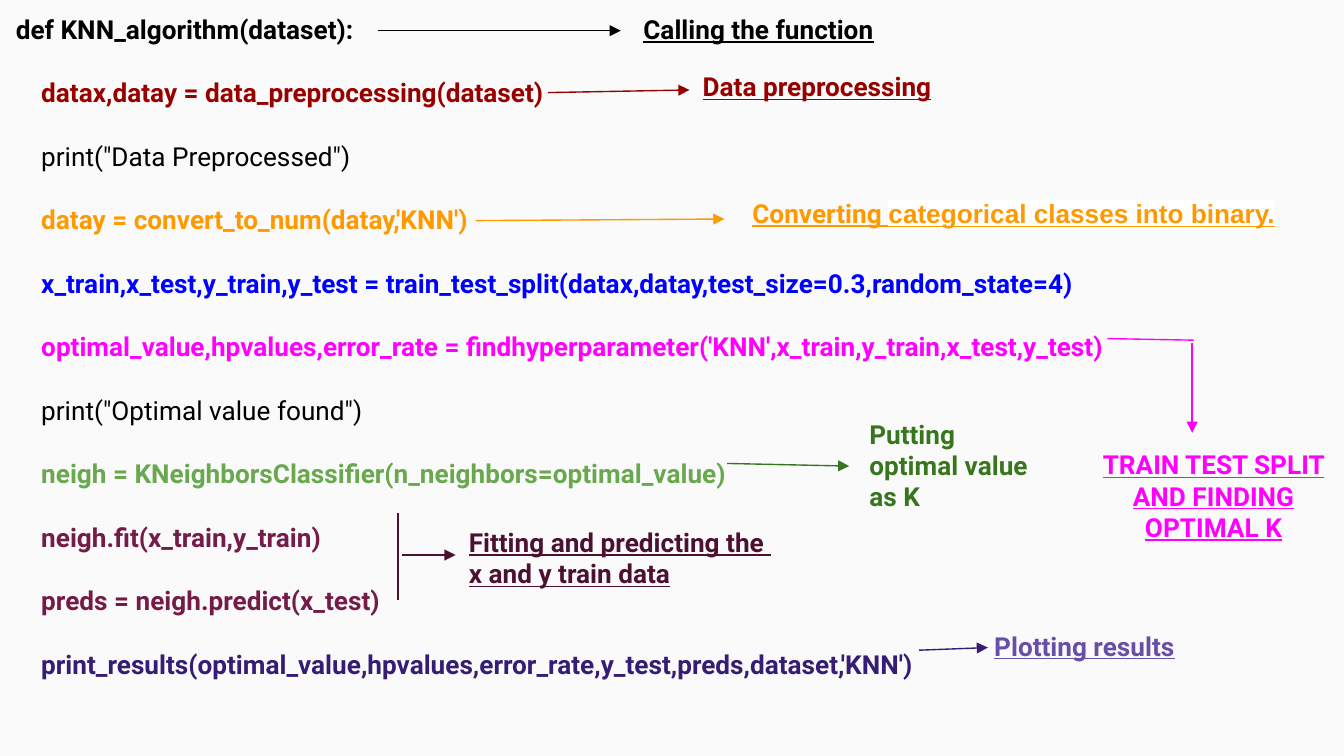
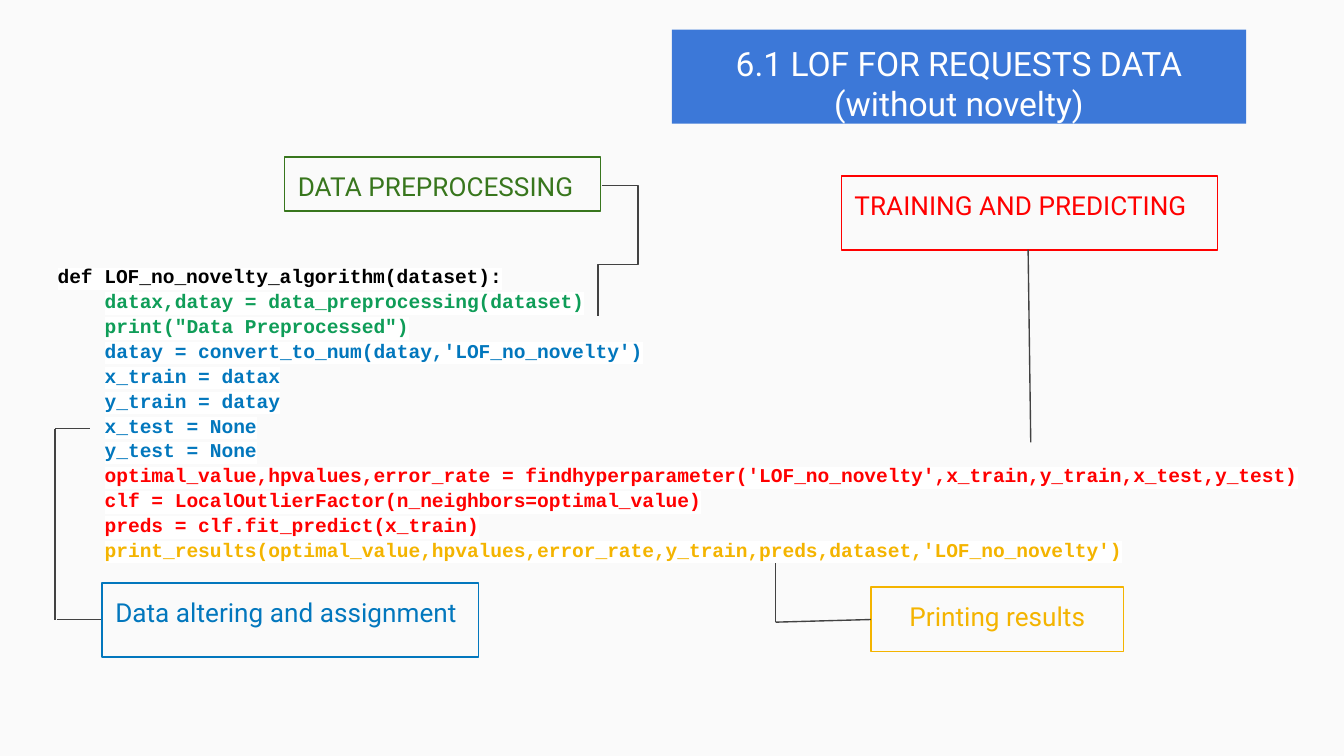
from lxml.etree import SubElement
from pptx import Presentation
from pptx.dml.color import RGBColor
from pptx.enum.shapes import MSO_CONNECTOR, MSO_SHAPE
from pptx.enum.text import MSO_ANCHOR, PP_ALIGN
from pptx.oxml import parse_xml
from pptx.oxml.ns import nsdecls, qn
from pptx.util import Cm, Pt

BACKDROP = RGBColor(0xFA, 0xFA, 0xFA)
WHITE = RGBColor(0xFF, 0xFF, 0xFF)
BLACK = RGBColor(0x00, 0x00, 0x00)
GRAY = RGBColor(0x42, 0x42, 0x42)
DARK_RED = RGBColor(0x98, 0x00, 0x00)
RED = RGBColor(0xFF, 0x00, 0x00)
ORANGE = RGBColor(0xFF, 0x99, 0x00)
AMBER = RGBColor(0xF4, 0xB4, 0x00)
BLUE = RGBColor(0x00, 0x00, 0xFF)
SKY = RGBColor(0x02, 0x77, 0xBD)
BANNER_BLUE = RGBColor(0x3C, 0x78, 0xD8)
MAGENTA = RGBColor(0xFF, 0x00, 0xFF)
GREEN = RGBColor(0x6A, 0xA8, 0x4F)
DARK_GREEN = RGBColor(0x38, 0x76, 0x1D)
CODE_GREEN = RGBColor(0x0F, 0x9D, 0x58)
PLUM = RGBColor(0x74, 0x1B, 0x47)
DARK_PLUM = RGBColor(0x4C, 0x11, 0x30)
INDIGO = RGBColor(0x35, 0x1C, 0x75)
VIOLET = RGBColor(0x67, 0x4E, 0xA7)

SANS, MONO = "Roboto", "Courier New"
WIDTH, HEIGHT = 25.4, 14.29
INSET = Cm(0.25)
LINE_WIDTH = Pt(0.75)

KNN_CODE = [
    ("def KNN_algorithm(dataset):", BLACK, True),
    ("datax,datay = data_preprocessing(dataset)", DARK_RED, True),
    ('print("Data Preprocessed")', BLACK, False),
    ("datay = convert_to_num(datay,'KNN')", ORANGE, True),
    ("x_train,x_test,y_train,y_test = train_test_split(datax,datay,test_size=0.3,random_state=4)", BLUE, True),
    ("optimal_value,hpvalues,error_rate = findhyperparameter('KNN',x_train,y_train,x_test,y_test)", MAGENTA, True),
    ('print("Optimal value found")', BLACK, False),
    ("neigh = KNeighborsClassifier(n_neighbors=optimal_value)", GREEN, True),
    ("neigh.fit(x_train,y_train)", PLUM, True),
    ("preds = neigh.predict(x_test)", PLUM, True),
    ("print_results(optimal_value,hpvalues,error_rate,y_test,preds,dataset,'KNN')", INDIGO, True),
]

LOF_CODE = [
    ("def LOF_no_novelty_algorithm(dataset):", BLACK),
    ("datax,datay = data_preprocessing(dataset)", CODE_GREEN),
    ('print("Data Preprocessed")', CODE_GREEN),
    ("datay = convert_to_num(datay,'LOF_no_novelty')", SKY),
    ("x_train = datax", SKY),
    ("y_train = datay", SKY),
    ("x_test = None", SKY),
    ("y_test = None", SKY),
    ("optimal_value,hpvalues,error_rate = findhyperparameter('LOF_no_novelty',x_train,y_train,x_test,y_test)", RED),
    ("clf = LocalOutlierFactor(n_neighbors=optimal_value)", RED),
    ("preds = clf.fit_predict(x_train)", RED),
    ("print_results(optimal_value,hpvalues,error_rate,y_train,preds,dataset,'LOF_no_novelty')", AMBER),
]

# Text, colour, underlined, alignment, (left, top, width, height)
KNN_NOTES = [
    ("Calling the function", BLACK, True, PP_ALIGN.LEFT, (11.91, 0, 10.87, 0.91)),
    ("Data preprocessing", DARK_RED, True, PP_ALIGN.LEFT, (13.03, 1.09, 5.18, 0.91)),
    ("TRAIN TEST SPLIT AND FINDING OPTIMAL K", MAGENTA, True, PP_ALIGN.CENTER, (20.09, 8.23, 5.69, 2.67)),
    ("Putting optimal value as K", DARK_GREEN, False, PP_ALIGN.LEFT, (16.18, 7.65, 3.71, 2.67)),
    ("Fitting and predicting the \nx and y train data", DARK_PLUM, True, PP_ALIGN.LEFT, (8.61, 9.7, 7.44, 1.88)),
    ("Plotting results", VIOLET, True, PP_ALIGN.LEFT, (18.54, 11.66, 4.6, 1.35)),
]

# Start x, start y, end x, end y, colour, arrowhead
KNN_LINES = [
    (7.14, 0.58, 11.73, 0.58, BLACK, True),
    (10.36, 1.75, 13.03, 1.7, DARK_RED, True),
    (8.99, 4.17, 13.69, 4.14, ORANGE, True),
    (20.93, 6.4, 22.56, 6.43, MAGENTA, False),
    (22.53, 6.48, 22.53, 8.18, MAGENTA, True),
    (13.74, 8.76, 16.05, 8.81, DARK_GREEN, True),
    (7.52, 9.7, 7.52, 11.35, DARK_PLUM, False),
    (7.59, 10.49, 8.61, 10.49, DARK_PLUM, True),
    (17.37, 12.29, 18.67, 12.24, INDIGO, True),
]

LOF_STAGES = [
    ("DATA PREPROCESSING", DARK_GREEN, PP_ALIGN.LEFT, (5.38, 2.97, 5.97, 1.02)),
    ("TRAINING AND PREDICTING", RED, PP_ALIGN.LEFT, (15.9, 3.33, 7.11, 1.4)),
    ("Printing results", AMBER, PP_ALIGN.CENTER, (16.46, 11.1, 4.78, 1.22)),
    ("Data altering and assignment", SKY, PP_ALIGN.LEFT, (1.93, 11.02, 7.11, 1.4)),
]

LOF_LINES = [
    (19.43, 4.72, 19.48, 8.36),
    (16.46, 11.71, 14.66, 11.76),
    (14.66, 11.76, 14.66, 10.64),
    (1.91, 11.71, 1.07, 11.71),
    (1.04, 11.71, 1.04, 8.89),
    (1.04, 8.92, 1.04, 8.1),
    (1.04, 8.1, 1.7, 8.1),
]


def add_slide(deck):
    slide = deck.slides.add_slide(deck.slide_layouts[6])
    slide.background.fill.solid()
    slide.background.fill.fore_color.rgb = BACKDROP
    return slide


def prepare_frame(shape):
    frame = shape.text_frame
    frame.word_wrap = True
    frame.vertical_anchor = MSO_ANCHOR.TOP
    frame.margin_left = frame.margin_right = INSET
    frame.margin_top = frame.margin_bottom = INSET
    return frame


def add_text_frame(slide, box):
    return prepare_frame(slide.shapes.add_textbox(*map(Cm, box)))


def next_paragraph(frame, index):
    return frame.paragraphs[0] if index == 0 else frame.add_paragraph()


def style(paragraph, color, size=14, name=SANS, bold=False, underline=False):
    font = paragraph.font
    font.name, font.size = name, Pt(size)
    font.bold, font.underline = bold, underline
    font.color.rgb = color


def indent(paragraph, margin, first_line=0):
    properties = paragraph._p.get_or_add_pPr()
    properties.set("marL", str(Cm(margin)))
    properties.set("indent", str(Cm(first_line)))


def highlight(run):
    run._r.get_or_add_rPr().insert(0, parse_xml(
        f'<a:highlight {nsdecls("a")}><a:srgbClr val="{WHITE}"/></a:highlight>'))


def add_note(slide, text, color, underline, align, box):
    frame = add_text_frame(slide, box)
    for index, line in enumerate(text.split("\n")):
        paragraph = next_paragraph(frame, index)
        paragraph.text = line
        paragraph.alignment = align
        style(paragraph, color, bold=True, underline=underline)


def add_conversion_note(slide):
    paragraph = add_text_frame(slide, (12.7, 3.48, 11.73, 1.35)).paragraphs[0]
    indent(paragraph, 1.27)
    style(paragraph, ORANGE, bold=True, underline=True)
    paragraph.add_run().text = "Converting "
    explanation = paragraph.add_run()
    explanation.text = "categorical classes into binary."
    explanation.font.name = "Arial"
    highlight(explanation)


def add_box(slide, text, size, color, align, box, fill=None):
    """Filled without outline if fill is given, else outlined in the text colour."""
    shape = slide.shapes.add_shape(MSO_SHAPE.RECTANGLE, *map(Cm, box))
    shape.shadow.inherit = False
    if fill is None:
        shape.fill.background()
        shape.line.color.rgb = color
        shape.line.width = LINE_WIDTH
    else:
        shape.fill.solid()
        shape.fill.fore_color.rgb = fill
        shape.line.fill.background()
    paragraph = prepare_frame(shape).paragraphs[0]
    paragraph.text = text
    paragraph.alignment = align
    style(paragraph, color, size)


def add_line(slide, x1, y1, x2, y2, color=GRAY, arrow=False, kind=MSO_CONNECTOR.STRAIGHT):
    line = slide.shapes.add_connector(kind, Cm(x1), Cm(y1), Cm(x2), Cm(y2))
    line.line.color.rgb = color
    line.line.width = LINE_WIDTH
    if arrow:
        SubElement(line.line._get_or_add_ln(), qn("a:tailEnd"), type="triangle")
    SubElement(line._element.spPr, qn("a:effectLst"))
    return line


def add_preprocessing_bend(slide):
    """Four-part elbow, turned upright, from the code up to its stage box."""
    bend = add_line(slide, 10.11, 4.7, 12.57, 4.78, kind=MSO_CONNECTOR.ELBOW)
    bend.rotation = 270 if hasattr(type(bend), "rotation") else None
    properties = bend._element.spPr
    properties.find(qn("a:xfrm")).set("rot", str(270 * 60000))
    geometry = properties.find(qn("a:prstGeom"))
    geometry.set("prst", "bentConnector4")
    guides = geometry.find(qn("a:avLst"))
    if guides is None:
        guides = SubElement(geometry, qn("a:avLst"))
    for name, value in (("adj1", 39600), ("adj2", 945000)):
        SubElement(guides, qn("a:gd"), name=name, fmla=f"val {value}")


def add_knn_code(slide):
    frame = add_text_frame(slide, (0.05, 0, WIDTH, HEIGHT))
    for index, (code, color, bold) in enumerate(KNN_CODE):
        paragraph = next_paragraph(frame, index)
        style(paragraph, color, bold=bold)
        if index:
            paragraph.space_before = Pt(17.2)
            indent(paragraph, 0.48)
        if code.startswith("neigh.fit"):
            indent(paragraph, 0.48, -0.48)
            dash = paragraph.add_run()
            dash.text = "\t"
            dash.font.underline = True
        paragraph.add_run().text = code


def add_lof_code(slide):
    frame = add_text_frame(slide, (0.84, 4.72, 24.08, 5.89))
    for index, (code, color) in enumerate(LOF_CODE):
        paragraph = next_paragraph(frame, index)
        style(paragraph, color, 10.5, MONO, bold=True)
        paragraph.line_spacing = 1.06
        if index:
            indent(paragraph, 0.89)
        run = paragraph.add_run()
        run.text = code
        highlight(run)


def build_knn_slide(deck):
    slide = add_slide(deck)
    add_knn_code(slide)
    for line in KNN_LINES:
        add_line(slide, *line)
    for note in KNN_NOTES:
        add_note(slide, *note)
    add_conversion_note(slide)


def build_lof_slide(deck):
    slide = add_slide(deck)
    add_lof_code(slide)
    for text, color, align, box in LOF_STAGES:
        add_box(slide, text, 14, color, align, box)
    add_preprocessing_bend(slide)
    for line in LOF_LINES:
        add_line(slide, *line)
    add_box(slide, "6.1 LOF FOR REQUESTS DATA\v(without novelty)", 18, WHITE,
            PP_ALIGN.CENTER, (12.7, 0.56, 10.85, 1.78), fill=BANNER_BLUE)


def main():
    deck = Presentation()
    deck.slide_width, deck.slide_height = Cm(WIDTH), Cm(HEIGHT)
    build_knn_slide(deck)
    build_lof_slide(deck)
    deck.save("out.pptx")


if __name__ == "__main__":
    main()
